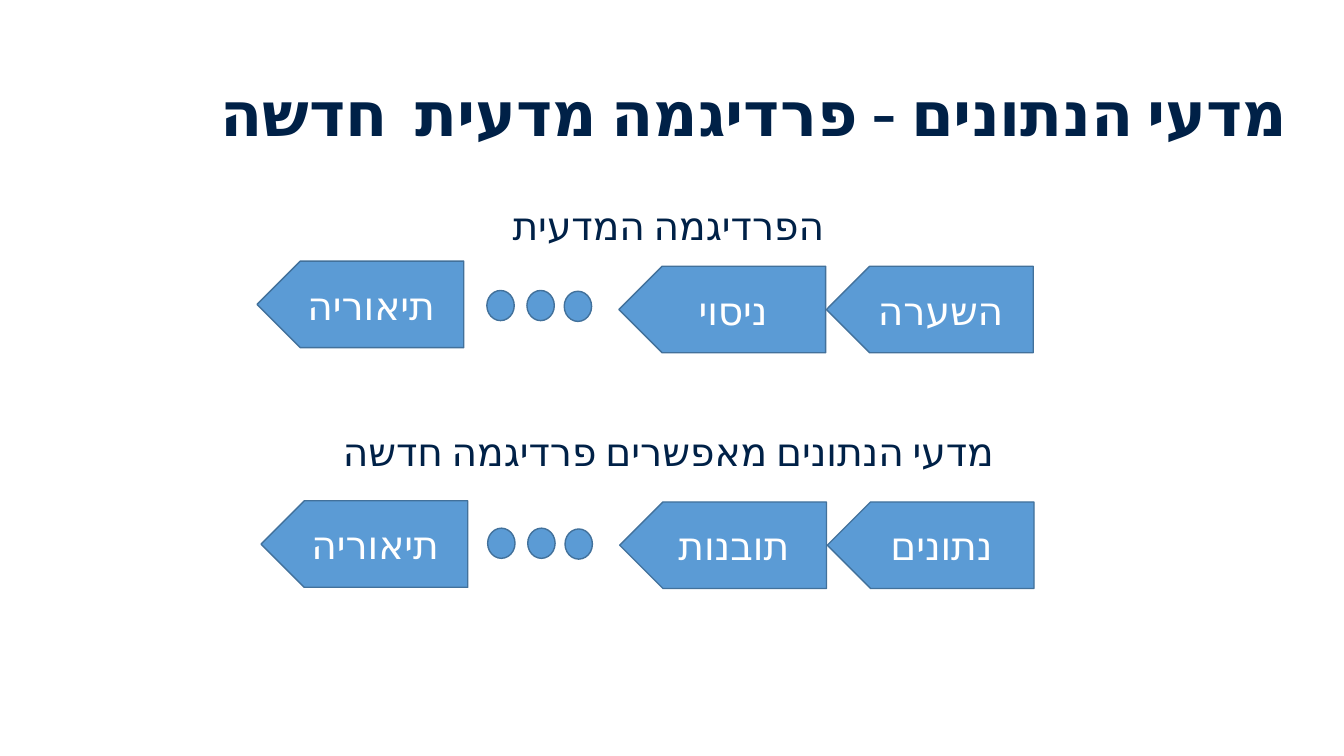
from dataclasses import dataclass

from lxml.etree import SubElement
from pptx import Presentation
from pptx.dml.color import RGBColor
from pptx.enum.lang import MSO_LANGUAGE_ID
from pptx.enum.shapes import MSO_SHAPE
from pptx.enum.text import MSO_ANCHOR, MSO_AUTO_SIZE, PP_ALIGN
from pptx.oxml.ns import qn
from pptx.util import Cm, Pt

NAVY, BLUE, EDGE, WHITE = "002147", "5B9BD5", "42719B", "FFFFFF"
ARROW_W, ARROW_H, ARROW_STEP = 5.21, 2.18, 5.23
DOT_W, DOT_H = 0.69, 0.76


@dataclass
class ProcessRow:
    """One right-to-left process; lengths in centimetres."""
    steps: tuple[str, ...]
    left: float
    top: float
    result: str
    result_left: float
    result_top: float
    dots_top: float


# Dot offsets from the left edge of the first arrow and from the dots' top.
DOTS = ((-6.61, 0.02), (-7.55, 0), (-8.56, 0))
ROWS = (
    ProcessRow(("השערה", "ניסוי"), 20.83, 6.71, "תיאוריה", 6.48, 6.58, 7.32),
    ProcessRow(("נתונים", "תובנות"), 20.85, 12.65, "תיאוריה", 6.58, 12.62, 13.31),
)


def rgb(value: str) -> RGBColor:
    return RGBColor.from_string(value)


def add_run(p, text: str, size: int, font: str, color: str, bold: bool = False) -> None:
    r = p.add_run()
    r.text = text
    r.font.size = Pt(size)
    r.font.bold = bold
    r.font.name = font
    r.font.color.rgb = rgb(color)
    r.font.language_id = MSO_LANGUAGE_ID.HEBREW
    SubElement(r.font._element, qn("a:cs")).set("typeface", font)


def format_rtl(p, align: PP_ALIGN, before: float = 0) -> None:
    """Set a right-to-left paragraph without bullet or indent."""
    p.alignment = align
    p.line_spacing = 0.9
    p.space_before = Pt(before)
    pPr = p._p.get_or_add_pPr()
    for name, value in (("marL", "0"), ("indent", "0"), ("rtl", "1")):
        pPr.set(name, value)
    SubElement(pPr, qn("a:buNone"))


def place_placeholder(sp, left: float, top: float, width: float, height: float,
                      anchor: MSO_ANCHOR):
    sp.left, sp.top, sp.width, sp.height = Cm(left), Cm(top), Cm(width), Cm(height)
    tf = sp.text_frame
    tf.word_wrap = True
    tf.auto_size = MSO_AUTO_SIZE.NONE
    tf.vertical_anchor = anchor
    return tf


def add_blue_shape(s, kind: MSO_SHAPE, left: float, top: float, width: float, height: float):
    sp = s.shapes.add_shape(kind, Cm(left), Cm(top), Cm(width), Cm(height))
    sp.shadow.inherit = False
    sp.fill.solid()
    sp.fill.fore_color.rgb = rgb(BLUE)
    sp.line.color.rgb = rgb(EDGE)
    sp.line.width = Pt(1)
    return sp


def add_arrow(s, text: str, left: float, top: float) -> None:
    """Add a labelled pentagon that points left."""
    sp = add_blue_shape(s, MSO_SHAPE.PENTAGON, left, top, ARROW_W, ARROW_H)
    sp._element.spPr.find(qn("a:xfrm")).set("flipH", "1")
    tf = sp.text_frame
    tf.word_wrap = True
    tf.vertical_anchor = MSO_ANCHOR.MIDDLE
    p = tf.paragraphs[0]
    p.alignment = PP_ALIGN.CENTER
    add_run(p, text, 28, "Calibri", WHITE)


def add_row(s, row: ProcessRow) -> None:
    for i, step in enumerate(row.steps):
        add_arrow(s, step, row.left - i * ARROW_STEP, row.top)
    add_arrow(s, row.result, row.result_left, row.result_top)
    for dx, dy in DOTS:
        add_blue_shape(s, MSO_SHAPE.OVAL, row.left + dx, row.dots_top + dy, DOT_W, DOT_H)


def main() -> None:
    prs = Presentation()
    prs.slide_width, prs.slide_height = Cm(33.87), Cm(19.05)
    s = prs.slides.add_slide(prs.slide_layouts[1])

    tf = place_placeholder(s.shapes.title, 0.97, 1.02, 31.75, 3.84, MSO_ANCHOR.MIDDLE)
    p = tf.paragraphs[0]
    format_rtl(p, PP_ALIGN.RIGHT)
    add_run(p, "מדעי הנתונים - פרדיגמה מדעית  חדשה", 44, "Cabin", NAVY, bold=True)

    tf = place_placeholder(s.placeholders[1], 0.97, 5.08, 31.75, 10.52, MSO_ANCHOR.TOP)
    p = tf.paragraphs[0]
    format_rtl(p, PP_ALIGN.CENTER)
    add_run(p, "הפרדיגמה המדעית", 28, "Cabin", NAVY)
    p = tf.add_paragraph()
    format_rtl(p, PP_ALIGN.CENTER, before=131)
    add_run(p, "מדעי הנתונים מאפשרים פרדיגמה חדשה", 28, "Cabin", NAVY)

    for row in ROWS:
        add_row(s, row)
    prs.save("out.pptx")


if __name__ == "__main__":
    main()
